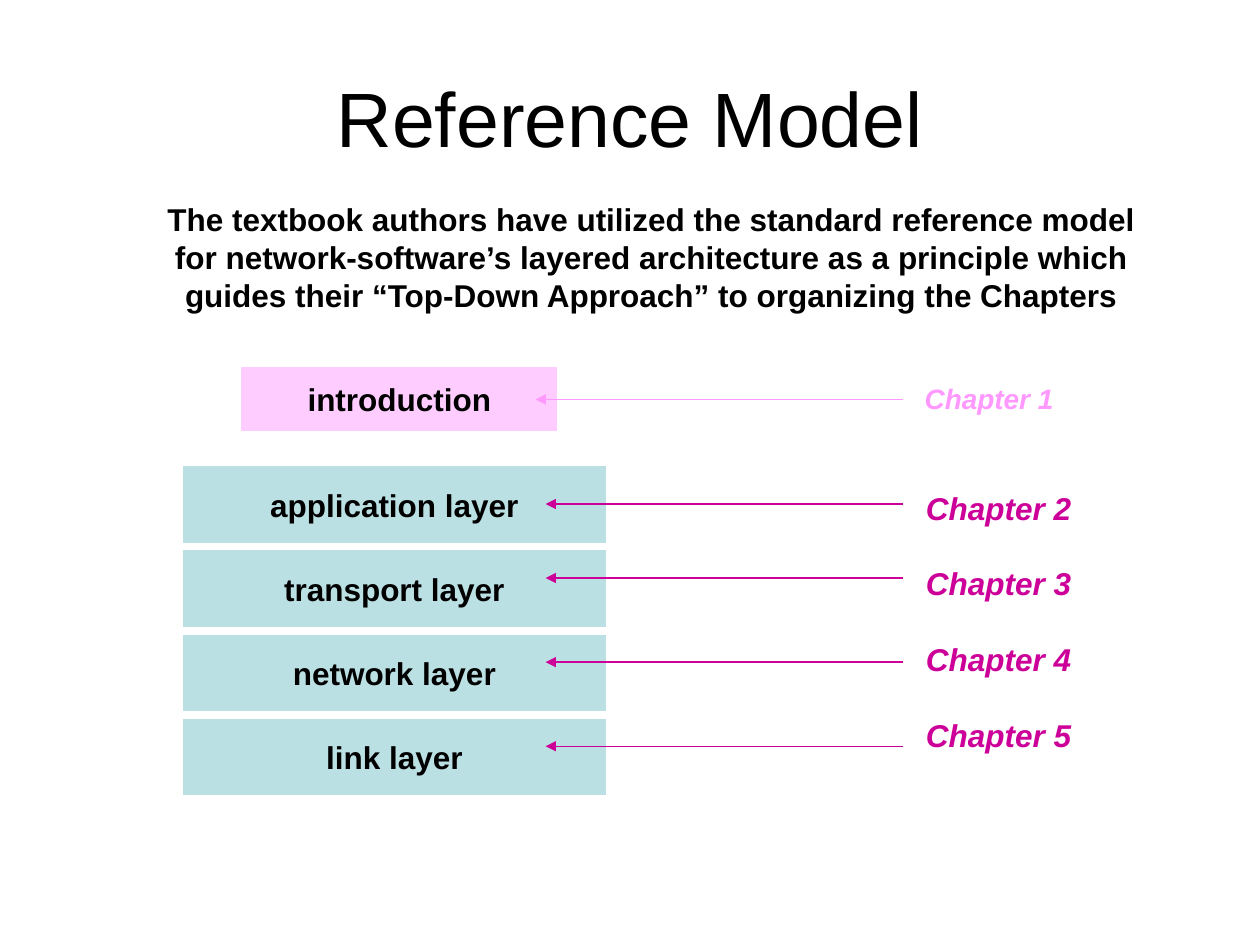
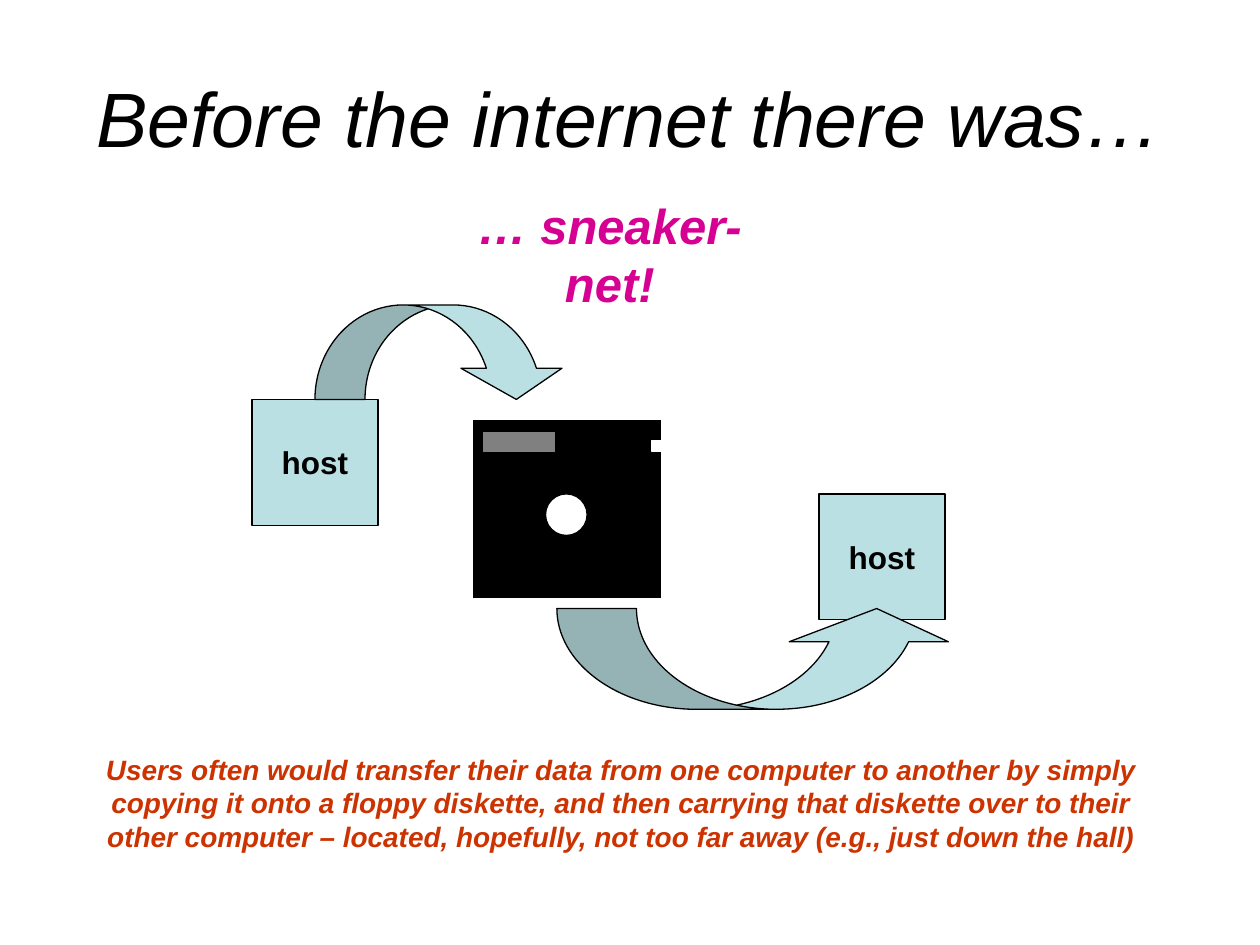
from lxml import etree
from pptx import Presentation
from pptx import util as u
from pptx.dml import color
from pptx.enum import shapes, text
from pptx.oxml import ns

FONT = "Arial"
BLACK, WHITE, GREY = "000000", "FFFFFF", "808080"
TEAL, PINK, ROSE = "BBE0E3", "FFCCFF", "FF99FF"
MAGENTA, HOT_PINK, RUST = "CC0099", "D60093", "CC3300"
TITLE_BOX = (0.5, 0.3, 9, 1.25)
LAYERS = ["application layer", "transport layer", "network layer", "link layer"]
RECT = shapes.MSO_SHAPE.RECTANGLE


def rgb(hex_code):
    """Turn a hex string into a colour."""
    return color.RGBColor.from_string(hex_code)


def inches(*lengths):
    """Convert several numbers to inches."""
    return [u.Inches(length) for length in lengths]


def within(box, left, top, width, height):
    """Give a box placed relative to another box's top left corner."""
    return box[0] + left, box[1] + top, width, height


def write(frame, lines, size=18, ink=BLACK, bold=True, italic=False,
          align=text.PP_ALIGN.CENTER, anchor=text.MSO_ANCHOR.TOP,
          wrap=False, gap=0):
    """Fill a text frame with one paragraph per line."""
    frame.word_wrap = wrap
    frame.vertical_anchor = anchor
    for number, line in enumerate(lines):
        paragraph = frame.add_paragraph() if number else frame.paragraphs[0]
        paragraph.alignment = align
        if len(lines) > 1:
            paragraph.line_spacing = u.Pt(1.2 * size)
            paragraph.space_after = u.Pt(gap)
        run = paragraph.add_run()
        run.text = line
        run.font.name, run.font.size = FONT, u.Pt(size)
        run.font.bold, run.font.italic = bold, italic
        run.font.color.rgb = rgb(ink)


def add_text(slide, box, *lines, **style):
    """Add a text box with the given format."""
    write(slide.shapes.add_textbox(*inches(*box)).text_frame, lines, **style)


def add_title(slide, title, italic=False):
    """Add the slide title."""
    add_text(slide, TITLE_BOX, title, size=44, bold=False, italic=italic,
             anchor=text.MSO_ANCHOR.MIDDLE, wrap=True)


def add_block(slide, box, fill, outline=BLACK, weight=0.75, kind=RECT,
              label=None, adjust=()):
    """Add a flat preset shape, with a label if given."""
    block = slide.shapes.add_shape(kind, *inches(*box))
    block.shadow.inherit = False
    block.fill.solid()
    block.fill.fore_color.rgb = rgb(fill)
    block.line.color.rgb = rgb(outline)
    block.line.width = u.Pt(weight)
    for number, value in enumerate(adjust):
        block.adjustments[number] = value
    if label:
        write(block.text_frame, [label], anchor=text.MSO_ANCHOR.MIDDLE)


def add_pointer(slide, start, end, y, ink):
    """Add a horizontal arrow with its head at the end."""
    pointer = slide.shapes.add_connector(
        shapes.MSO_CONNECTOR.STRAIGHT, *inches(start, y, end, y))
    pointer.line.color.rgb = rgb(ink)
    pointer.line.width = u.Pt(0.75)
    head = etree.SubElement(pointer.line._get_or_add_ln(), ns.qn("a:tailEnd"))
    head.set("type", "triangle")
    etree.SubElement(pointer._element.spPr, ns.qn("a:effectLst"))


def add_introduction(slide, box):
    """Add the introduction row with its chapter."""
    left, top = box[:2]
    add_block(slide, within(box, 0, 0, 2.5, 0.5), PINK, PINK, label="introduction")
    add_text(slide, within(box, 5.32, 0.06, 1.22, 0.37), "Chapter 1", size=16,
             ink=ROSE, italic=True, align=text.PP_ALIGN.LEFT)
    add_pointer(slide, left + 5.25, left + 2.33, top + 0.25, ROSE)


def add_layers(slide, box):
    """Add the layer stack, its chapters and the arrows between them."""
    left, top, _, height = box
    step = height / len(LAYERS)
    for row, layer in enumerate(LAYERS):
        add_block(slide, within(box, 0, row * step, 3.42, step), TEAL, WHITE,
                  weight=4.5, label=layer)
    add_text(slide, within(box, 5.83, 0.16, 1.35, 2.2),
             *[f"Chapter {row + 2}" for row in range(len(LAYERS))],
             ink=MAGENTA, italic=True, align=text.PP_ALIGN.LEFT, gap=21.6)
    for row in range(len(LAYERS)):
        drop = 0.25 if row else 0.33
        add_pointer(slide, left + 5.75, left + 2.91, top + row * step + drop, MAGENTA)


def add_floppy(slide, box):
    """Add the floppy diskette."""
    add_block(slide, box, BLACK, WHITE)
    add_block(slide, within(box, 0.58, 0.59, 0.33, 0.33), WHITE,
              kind=shapes.MSO_SHAPE.OVAL)
    add_block(slide, within(box, 0.08, 0.09, 0.58, 0.17), GREY)
    add_block(slide, within(box, 1.42, 0.17, 0.08, 0.08), WHITE, WHITE)


def add_transfer(slide, box):
    """Add the two hosts, the diskette and the arrows that carry it."""
    for left, top in [(0, 0.75), (4.5, 1.5)]:
        add_block(slide, within(box, left, top, 1, 1), TEAL, label="host")
    add_floppy(slide, within(box, 1.75, 0.91, 1.5, 1.42))
    add_block(slide, within(box, 0.5, 0, 2, 0.75), TEAL,
              kind=shapes.MSO_SHAPE.CURVED_DOWN_ARROW, adjust=(0.53, 1.07, 0.33))
    add_block(slide, within(box, 2.42, 2.41, 3.17, 0.8), TEAL,
              kind=shapes.MSO_SHAPE.CURVED_UP_ARROW, adjust=(0.79, 1.58, 0.33))


def build_reference_model(slide):
    """Build the slide on the layered reference model."""
    add_title(slide, "Reference Model")
    add_text(slide, (1.23, 1.54, 7.88, 1),
             "The textbook authors have utilized the standard reference model",
             "for network-software’s layered architecture as a principle which",
             "guides their “Top-Down Approach” to organizing the Chapters")
    add_layers(slide, (1.42, 3.67, 7.18, 2.67))
    add_introduction(slide, (1.92, 2.92, 6.54, 0.5))


def build_sneaker_net(slide):
    """Build the slide on carrying data by diskette."""
    add_title(slide, "Before the internet there was…", italic=True)
    add_text(slide, (3.34, 1.5, 3, 0.57), "… sneaker-net!", size=28,
             ink=HOT_PINK, italic=True)
    add_transfer(slide, (2, 2.42, 5.59, 3.21))
    add_text(slide, (0.71, 5.92, 8.44, 0.9),
             "Users often would transfer their data from one computer to another by simply",
             "copying it onto a floppy diskette, and then carrying that diskette over to their",
             "other computer – located, hopefully, not too far away (e.g., just down the hall)",
             size=16, ink=RUST, italic=True)


def main():
    """Build and save the presentation."""
    deck = Presentation()
    deck.slide_width, deck.slide_height = inches(10, 7.5)
    for build in (build_reference_model, build_sneaker_net):
        build(deck.slides.add_slide(deck.slide_layouts[6]))
    deck.save("out.pptx")


if __name__ == "__main__":
    main()
